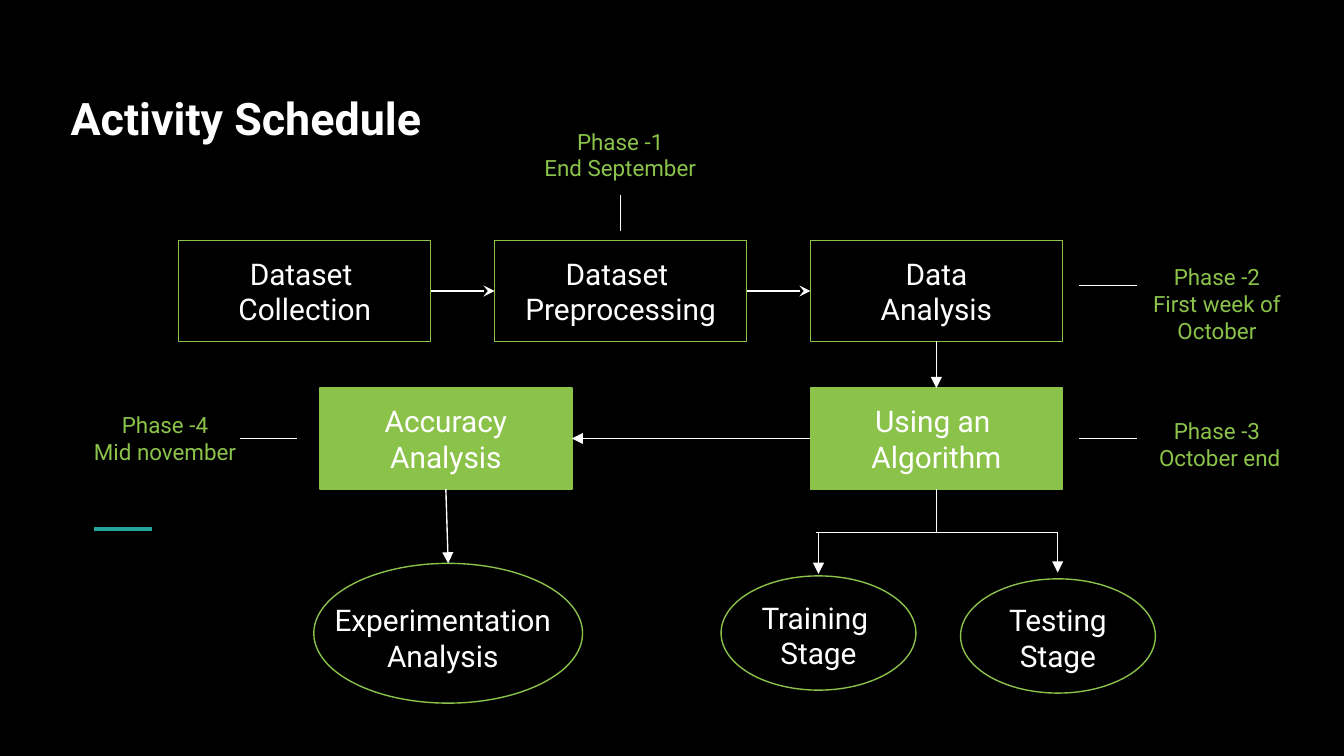
from typing import NamedTuple, Optional

from lxml import etree
from pptx import Presentation
from pptx.dml.color import RGBColor
from pptx.enum.shapes import MSO_CONNECTOR, MSO_SHAPE
from pptx.enum.text import MSO_ANCHOR, PP_ALIGN
from pptx.oxml.ns import qn
from pptx.util import Inches, Pt

RECTANGLE, ELLIPSE = MSO_SHAPE.RECTANGLE, MSO_SHAPE.OVAL
STRAIGHT = MSO_CONNECTOR.STRAIGHT
MIDDLE, TOP_ANCHOR = MSO_ANCHOR.MIDDLE, MSO_ANCHOR.TOP
LEFT_ALIGNED, CENTERED = PP_ALIGN.LEFT, PP_ALIGN.CENTER
TOP, LEFT, BOTTOM, RIGHT = range(4)

FONT = "Roboto"
COLORS = {"black": "000000", "white": "FFFFFF", "green": "8BC34A", "teal": "26A69A"}

# The slide is a grid of square cells, 100 columns by 56.25 rows.
CELL = 0.1
COLUMNS, ROWS = 100, 56.25
BOX_WIDTH, BOX_HEIGHT = 18.75, 7.5
BOX_X, BOX_STEP = 13.3, 23.5
ROW_1, ROW_2 = 17.9, 28.88
BRANCH_Y = 39.63


class Step(NamedTuple):
    name: str
    lines: tuple[str, ...]
    x: float
    y: float
    width: float = BOX_WIDTH
    height: float = BOX_HEIGHT
    kind: int = RECTANGLE
    fill: Optional[str] = None
    inset_top: float = 0
    inset_right: float = 0


class Link(NamedTuple):
    start: str
    start_side: int
    end: str
    end_side: int
    head: str = "triangle"


class Line(NamedTuple):
    x1: float
    y1: float
    x2: float
    y2: float
    head: Optional[str] = None
    color: str = "white"
    width: float = 0.75


class Phase(NamedTuple):
    lines: tuple[str, ...]
    x: float
    y: float
    height: float
    tick: Line


STEPS = [
    Step("collection", ("Dataset ", "Collection"), BOX_X, ROW_1),
    Step("preprocessing", ("Dataset ", "Preprocessing"), BOX_X + BOX_STEP, ROW_1),
    Step("analysis", ("Data", "Analysis"), BOX_X + 2 * BOX_STEP, ROW_1),
    Step("algorithm", ("Using an ", "Algorithm"), BOX_X + 2 * BOX_STEP, ROW_2, fill="green"),
    Step("accuracy", ("Accuracy Analysis",), 23.8, ROW_2, fill="green"),
    Step("training", ("Training ", "Stage"), 53.65, 42.85, 14.5, 8.5, ELLIPSE, inset_top=0.3),
    Step("testing", ("Testing", "Stage"), 71.47, 43.07, 14.5, 8.5, ELLIPSE, inset_top=0.3),
    Step("experimentation", ("Experimentation", "Analysis"), 23.35, 41.92, 20, 10.4, ELLIPSE,
         inset_top=0.7, inset_right=0.8),
]

LINKS = [
    Link("collection", RIGHT, "preprocessing", LEFT, "stealth"),
    Link("preprocessing", RIGHT, "analysis", LEFT, "stealth"),
    Link("analysis", BOTTOM, "algorithm", TOP),
    Link("algorithm", LEFT, "accuracy", RIGHT),
    Link("accuracy", BOTTOM, "experimentation", TOP),
]

BRANCHES = [
    Line(69.7, ROW_2 + BOX_HEIGHT, 69.7, BRANCH_Y),
    Line(60.7, BRANCH_Y, 78.7, BRANCH_Y),
    Line(60.9, BRANCH_Y, 60.9, 42.7, "triangle"),
    Line(78.7, BRANCH_Y, 78.7, 42.6, "triangle"),
]

PHASES = [
    Phase(("Phase -1", "End September"), 38.9, 8.5, 6.1, Line(46.17, 14.5, 46.17, 17.2)),
    Phase(("Phase -2", "First week of October"), 83.3, 18.6, 8.1,
          Line(80.3, 21.25, 84.6, 21.25)),
    Phase(("Phase -3", " October end"), 83.3, 30.04, 6.1, Line(80.3, 32.65, 84.6, 32.65)),
    Phase(("Phase -4", "Mid november"), 5.03, 29.6, 6.1, Line(17.87, 32.63, 22.1, 32.63)),
]


def cells(count: float) -> int:
    return Inches(count * CELL)


def color(name: str) -> RGBColor:
    return RGBColor.from_string(COLORS[name])


def write(frame, lines: tuple[str, ...], size: float, color_name: str,
          alignment=CENTERED, anchor=MIDDLE, bold: bool = False) -> None:
    frame.word_wrap = True
    frame.vertical_anchor = anchor
    frame.margin_left = frame.margin_right = cells(1)
    frame.margin_top = frame.margin_bottom = cells(1)
    for index, line in enumerate(lines):
        paragraph = frame.add_paragraph() if index else frame.paragraphs[0]
        paragraph.alignment = alignment
        run = paragraph.add_run()
        run.text = line
        run.font.name = FONT
        run.font.size = Pt(size)
        run.font.bold = bold
        run.font.color.rgb = color(color_name)


def draw_step(slide, step: Step):
    shape = slide.shapes.add_shape(
        step.kind, cells(step.x), cells(step.y), cells(step.width), cells(step.height))
    shape.shadow.inherit = False
    if step.fill:
        shape.fill.solid()
        shape.fill.fore_color.rgb = color(step.fill)
    else:
        shape.fill.background()
    shape.line.color.rgb = color("green")
    shape.line.width = Pt(0.75)
    frame = shape.text_frame
    write(frame, step.lines, 16, "white")
    if step.kind == ELLIPSE:
        frame.word_wrap = False
        frame.margin_left = frame.margin_bottom = 0
        frame.margin_top = cells(step.inset_top)
        frame.margin_right = cells(step.inset_right)
    return shape


def draw_line(slide, line: Line):
    connector = slide.shapes.add_connector(
        STRAIGHT, cells(line.x1), cells(line.y1), cells(line.x2), cells(line.y2))
    connector.line.color.rgb = color(line.color)
    connector.line.width = Pt(line.width)
    if line.head:
        etree.SubElement(connector.line._get_or_add_ln(), qn("a:tailEnd"), type=line.head)
    etree.SubElement(connector._element.spPr, qn("a:effectLst"))
    return connector


def draw_link(slide, link: Link, shapes: dict) -> None:
    connector = draw_line(slide, Line(0, 0, 0, 0, link.head))
    connector.begin_connect(shapes[link.start], link.start_side)
    connector.end_connect(shapes[link.end], link.end_side)


def draw_phase(slide, phase: Phase) -> None:
    label = slide.shapes.add_textbox(
        cells(phase.x), cells(phase.y), cells(14.5), cells(phase.height))
    write(label.text_frame, phase.lines, 12, "green", anchor=TOP_ANCHOR)
    draw_line(slide, phase.tick)


def main() -> None:
    presentation = Presentation()
    presentation.slide_width, presentation.slide_height = cells(COLUMNS), cells(ROWS)
    slide = presentation.slides.add_slide(presentation.slide_layouts[5])
    slide.background.fill.solid()
    slide.background.fill.fore_color.rgb = color("black")

    title = slide.shapes.title
    title.left, title.top, title.width, title.height = map(cells, (4.25, 5, 91.5, 7.5))
    write(title.text_frame, ("Activity Schedule",), 24, "white", LEFT_ALIGNED, bold=True)

    draw_line(slide, Line(7, 39.34, 11.3, 39.34, color="teal", width=2.25))
    shapes = {step.name: draw_step(slide, step) for step in STEPS}
    for link in LINKS:
        draw_link(slide, link, shapes)
    for branch in BRANCHES:
        draw_line(slide, branch)
    for phase in PHASES:
        draw_phase(slide, phase)

    presentation.save("out.pptx")


if __name__ == "__main__":
    main()
